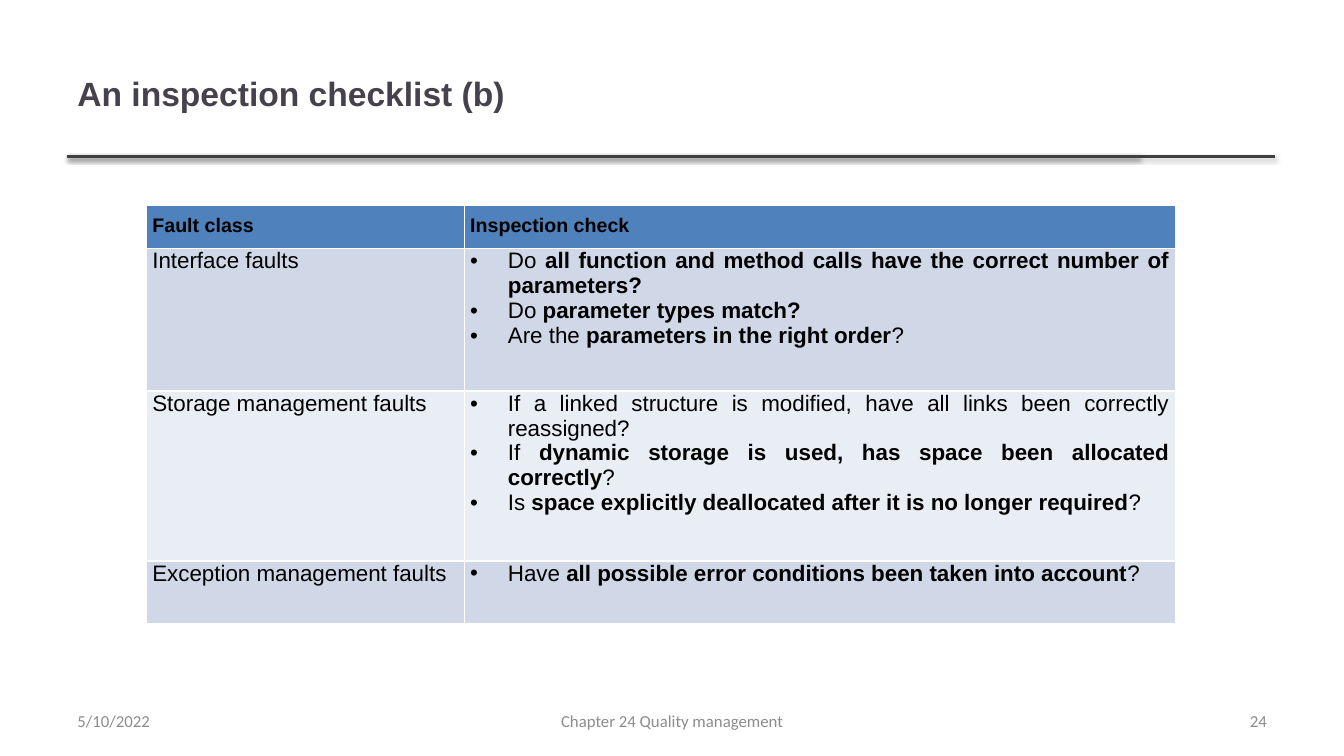
"""Build the inspection checklist slide with its fault table."""
from lxml import etree
from pptx import Presentation
from pptx.dml.color import RGBColor
from pptx.enum.shapes import MSO_CONNECTOR
from pptx.enum.text import MSO_ANCHOR, PP_ALIGN
from pptx.oxml import parse_xml
from pptx.oxml.ns import nsdecls, qn
from pptx.util import Cm, Pt

LEFT, MID, RIGHT, FULL = PP_ALIGN.LEFT, PP_ALIGN.CENTER, PP_ALIGN.RIGHT, PP_ALIGN.JUSTIFY
CENTER = MSO_ANCHOR.MIDDLE
STRAIGHT = MSO_CONNECTOR.STRAIGHT

THEME = {
    "title": ("Arial", 24, "46424D"),
    "head": ("Arial", 14, "000000"),
    "body": ("Arial", 16, "000000"),
    "foot": ("Calibri", 12, "8C8C8C"),
    "rule": "404040",
    "edge": "FFFFFF",
    "top": "4F81BD",
    "bands": ("D0D8E8", "E9EDF4"),
}


def add_run(para, text, style, bold=False):
    run = para.add_run()
    run.text = text
    name, size, color = THEME[style]
    run.font.name, run.font.size, run.font.bold = name, Pt(size), bold
    run.font.color.rgb = RGBColor.from_string(color)


def add_label(text, left, top, width, height, style, align, bold=False):
    frame = slide.shapes.add_textbox(Cm(left), Cm(top), Cm(width), Cm(height)).text_frame
    frame.word_wrap = True
    frame.vertical_anchor = CENTER
    frame.paragraphs[0].alignment = align
    add_run(frame.paragraphs[0], text, style, bold)


deck = Presentation()
deck.slide_width, deck.slide_height = Cm(33.87), Cm(19.05)
slide = deck.slides.add_slide(deck.slide_layouts[6])

for end in (28.72, 32.13):
    rule = slide.shapes.add_connector(STRAIGHT, Cm(1.7), Cm(3.94), Cm(end), Cm(3.94))
    rule.line.width = Pt(2)
    rule.line.color.rgb = RGBColor.from_string(THEME["rule"])
    rule._element.spPr.append(parse_xml(
        f'<a:effectLst {nsdecls("a")}><a:outerShdw blurRad="40000" dist="20000" dir="5400000" '
        'rotWithShape="0"><a:srgbClr val="000000"><a:alpha val="38000"/></a:srgbClr>'
        '</a:outerShdw></a:effectLst>'))

add_label("An inspection checklist (b)", 1.7, 0.76, 27, 3.15, "title", LEFT, True)

FAULTS = [
    ("Interface faults", [
        ["Do ", "all function and method calls have the correct number of parameters?"],
        ["Do ", "parameter types match? "],
        ["Are the ", "parameters in the right order", "? "],
    ]),
    ("Storage management faults", [
        ["If a linked structure is modified, have all links been correctly reassigned?"],
        ["If ", "dynamic storage is used, has space been allocated correctly", "?"],
        ["Is ", "space explicitly deallocated after it is no longer required", "?"],
    ]),
    ("Exception management faults", [
        ["Have ", "all possible error conditions been taken into account", "?"],
    ]),
]
WIDTHS = (8.01, 17.92)
HEIGHTS = (1.08, 3.59, 4.28, 1.58)

table = slide.shapes.add_table(len(HEIGHTS), len(WIDTHS), Cm(3.69), Cm(5.17),
                               Cm(sum(WIDTHS)), Cm(sum(HEIGHTS))).table
table.horz_banding = False
for col, width in zip(table.columns, WIDTHS):
    col.width = Cm(width)
for row, height in zip(table.rows, HEIGHTS):
    row.height = Cm(height)

for n, row in enumerate(table.rows):
    for cell in row.cells:
        cell.margin_left = cell.margin_right = Cm(0.15)
        cell.margin_top, cell.margin_bottom = Cm(0 if n else 0.25), Cm(0.25)
        cell.fill.solid()
        fill = THEME["bands"][(n - 1) % 2] if n else THEME["top"]
        cell.fill.fore_color.rgb = RGBColor.from_string(fill)
        for spot, side in enumerate("LRTB"):
            cell._tc.tcPr.insert(spot, parse_xml(
                f'<a:ln{side} {nsdecls("a")} w="12700"><a:solidFill>'
                f'<a:srgbClr val="{THEME["edge"]}"/></a:solidFill></a:ln{side}>'))
        cell.text_frame.paragraphs[0].alignment = FULL

for n, text in enumerate(("Fault class", "Inspection check")):
    add_run(table.cell(0, n).text_frame.paragraphs[0], text, "head", True)

for n, (fault, checks) in enumerate(FAULTS, 1):
    add_run(table.cell(n, 0).text_frame.paragraphs[0], fault, "body")
    frame = table.cell(n, 1).text_frame
    for k, parts in enumerate(checks):
        para = frame.add_paragraph() if k else frame.paragraphs[0]
        para.alignment = FULL
        props = para._p.get_or_add_pPr()
        props.set("marL", str(Cm(0.95)))
        props.set("indent", str(-Cm(0.95)))
        etree.SubElement(props, qn("a:buFont")).set("typeface", "Arial")
        etree.SubElement(props, qn("a:buChar")).set("char", "•")
        for j, part in enumerate(parts):
            add_run(para, part, "body", j % 2 == 1)

for text, left, width, align in (
    ("5/10/2022", 1.7, 7.9, LEFT),
    ("Chapter 24 Quality management", 11.58, 10.72, MID),
    ("24", 24.28, 7.9, RIGHT),
):
    add_label(text, left, 17.65, width, 1.02, "foot", align)

deck.save("out.pptx")
